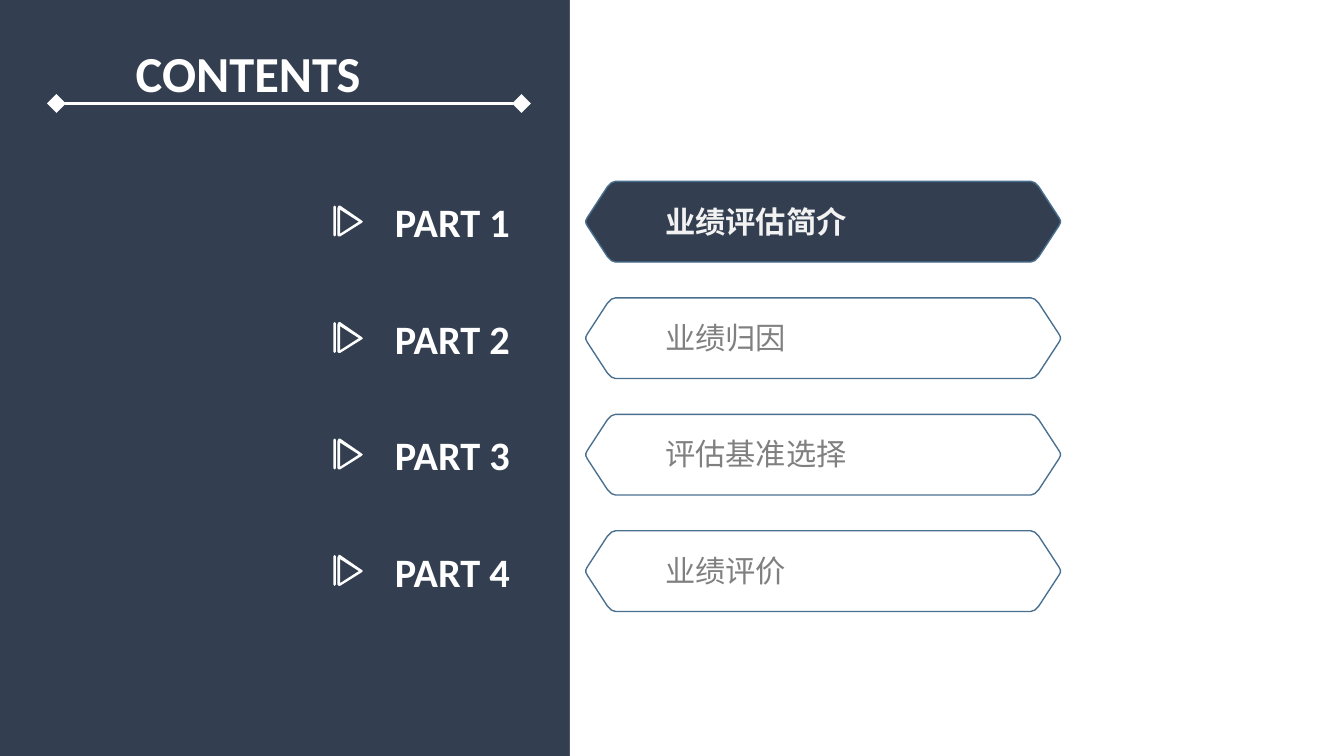
import pptx
import pptx.util
import pptx.dml.color
import pptx.enum.shapes
import pptx.enum.text
import pptx.oxml
import pptx.oxml.ns
from pptx.util import Inches

TITLE = "CONTENTS"
# Each part: its number as (text, size) runs, then its label
PARTS = [
    ([("PART 1", "part"), (" ", "gap")], "业绩评估简介"),
    ([("PART 2", "part")], "业绩归因"),
    ([("PART 3", "part")], "评估基准选择"),
    ([("PART 4", "part")], "业绩评价"),
]
CURRENT = 0

THEME = {
    "navy": "333F50", "white": "FFFFFF", "outline": "4A7090",
    "active": "F2F2F2", "muted": "808080",
    "latin": "Calibri", "chinese": "Noto Sans CJK SC",
    "title": 27, "part": 21.6, "gap": 18.9, "label": 16.2,
}

PAGE_WIDTH, PAGE_HEIGHT = Inches(10), Inches(10) * 9 // 16
PANEL_LEFT = Inches(4.24)
ROW_TOP, ROW_PITCH = 1.35, 2.6 / 3
BAR_LEFT, BAR_WIDTH, BAR_HEIGHT = 4.36, 3.53, 0.6
ICON_LEFT, ICON_DROP = 2.48, 0.18

# Rounded corner of a bar: distance from its side tip, and from its middle line
CORNER = [(0, 0.01), (0.01, 0.03), (0.16, 0.26), (0.19, 0.29), (0.22, 0.3)]

# Play icon: bar, triangle and the triangle's opening
ICON = [
    [(0, 0.01), (0.01, 0), (0.02, 0.01), (0.02, 0.22), (0.01, 0.23), (0, 0.22)],
    [(0.03, 0.02), (0.04, 0), (0.05, 0), (0.21, 0.11), (0.22, 0.12),
     (0.21, 0.13), (0.05, 0.23), (0.04, 0.23), (0.03, 0.22)],
    [(0.05, 0.03), (0.05, 0.21), (0.19, 0.12)],
]


def color(name):
    return pptx.dml.color.RGBColor.from_string(THEME[name])


def paint(shape, fill=None, line=None):
    shape.shadow.inherit = False
    if fill:
        shape.fill.solid()
        shape.fill.fore_color.rgb = color(fill)
    else:
        shape.fill.background()
    if line:
        shape.line.color.rgb = color(line)
        shape.line.width = pptx.util.Pt(0.75)
    else:
        shape.line.fill.background()


def write(box, runs, font, ink, bold):
    frame = box.text_frame
    frame.word_wrap = True
    frame.vertical_anchor = pptx.enum.text.MSO_ANCHOR.TOP
    para = frame.paragraphs[0]
    para.alignment = pptx.enum.text.PP_ALIGN.LEFT
    for text, size in runs:
        span = para.add_run()
        span.text = text
        span.font.size = pptx.util.Pt(THEME[size])
        span.font.name = THEME[font]
        span.font.bold = bold
        span.font.color.rgb = color(ink)
        if font == "chinese":
            span.font._element.append(pptx.oxml.parse_xml(
                f'<a:ea {pptx.oxml.ns.nsdecls("a")} typeface="{THEME[font]}"/>'))


def add_text(page, left, top, width, height, *style):
    box = page.shapes.add_textbox(*map(Inches, (left, top, width, height)))
    write(box, *style)


def add_outline(page, contours, left, top):
    """Draw closed contours, given relative to left and top, as one shape."""
    placed = [[(Inches(left + x), Inches(top + y)) for x, y in contour]
              for contour in contours]
    builder = page.shapes.build_freeform(*placed[0][0])
    for number, contour in enumerate(placed):
        if number:
            builder.move_to(*contour[0])
        builder.add_line_segments(contour[1:], close=True)
    return builder.convert_to_shape()


def bar_contour():
    middle = BAR_HEIGHT / 2
    upper_left = [(x, middle - y) for x, y in CORNER]
    upper = upper_left + [(BAR_WIDTH - x, y) for x, y in reversed(upper_left)]
    return upper + [(x, BAR_HEIGHT - y) for x, y in reversed(upper)]


def add_title(page):
    title = page.shapes.title
    title.left, title.top, title.width, title.height = map(
        Inches, (0.91, 0.26, 3.69, 0.56))
    write(title, [(TITLE, "title")], "latin", "white", True)

    rule = page.shapes.add_connector(
        pptx.enum.shapes.MSO_CONNECTOR.STRAIGHT,
        *map(Inches, (0.42, 0.77, 3.88, 0.77)))
    rule.line.color.rgb = color("white")
    rule.line.width = pptx.util.Pt(2)
    names = pptx.oxml.ns.nsdecls("a")
    for end in ("headEnd", "tailEnd"):
        rule.line._get_or_add_ln().append(pptx.oxml.parse_xml(
            f'<a:{end} {names} type="diamond" w="lg" len="lg"/>'))
    rule._element.spPr.append(pptx.oxml.parse_xml(f"<a:effectLst {names}/>"))


def add_row(page, index, part, label):
    top = ROW_TOP + index * ROW_PITCH
    current = index == CURRENT
    bar = add_outline(page, [bar_contour()], BAR_LEFT, top)
    paint(bar, "navy" if current else None, "outline")
    icon = add_outline(page, ICON, ICON_LEFT, top + ICON_DROP)
    paint(icon, "white")
    add_text(page, 2.84, top + 0.07, 1.52, 0.46, part, "latin", "white", True)
    add_text(page, 4.85, top + 0.11, 2.48, 0.37, [(label, "label")],
             "chinese", "active" if current else "muted", current)


def main():
    deck = pptx.Presentation()
    deck.slide_width, deck.slide_height = PAGE_WIDTH, PAGE_HEIGHT
    page = deck.slides.add_slide(deck.slide_layouts[5])
    page.background.fill.solid()
    page.background.fill.fore_color.rgb = color("navy")

    panel = page.shapes.add_shape(
        pptx.enum.shapes.MSO_SHAPE.RECTANGLE,
        PANEL_LEFT, 0, PAGE_WIDTH - PANEL_LEFT, PAGE_HEIGHT)
    paint(panel, "white")
    add_title(page)
    for index, (part, label) in enumerate(PARTS):
        add_row(page, index, part, label)
    deck.save("out.pptx")


if __name__ == "__main__":
    main()
